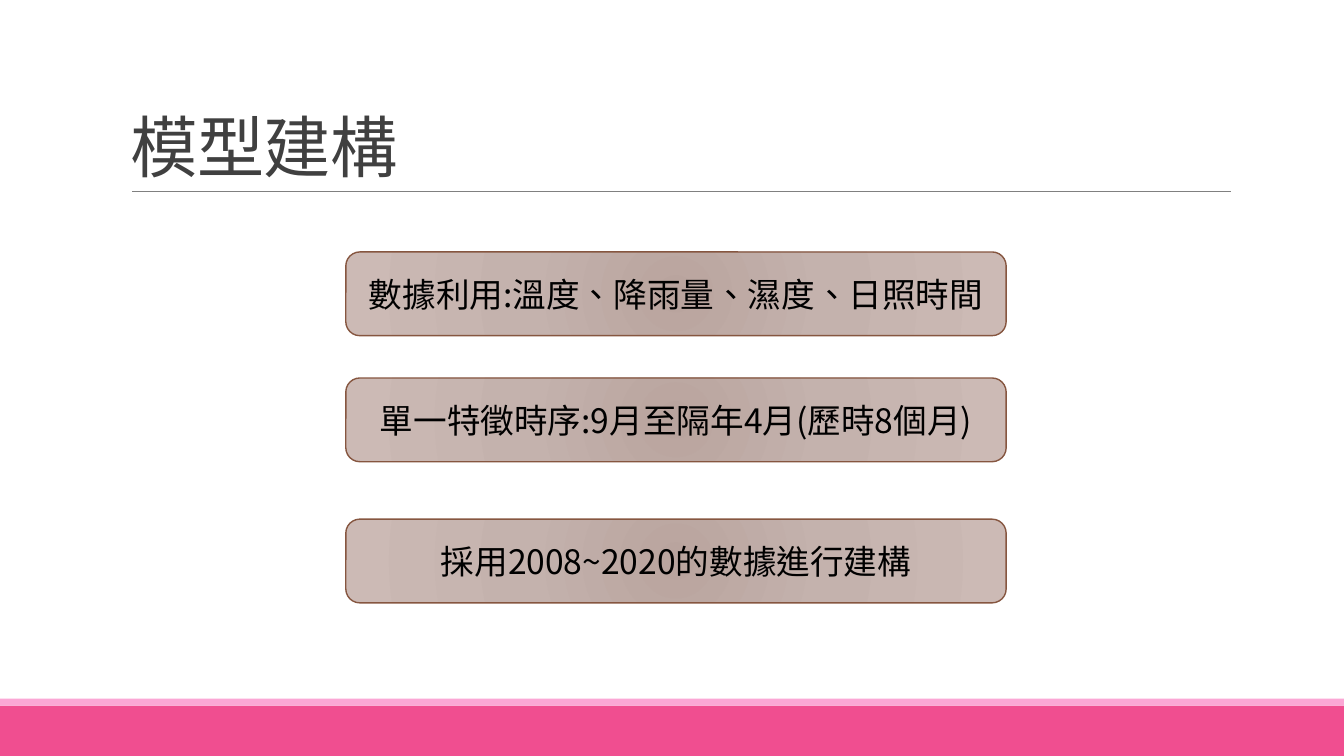
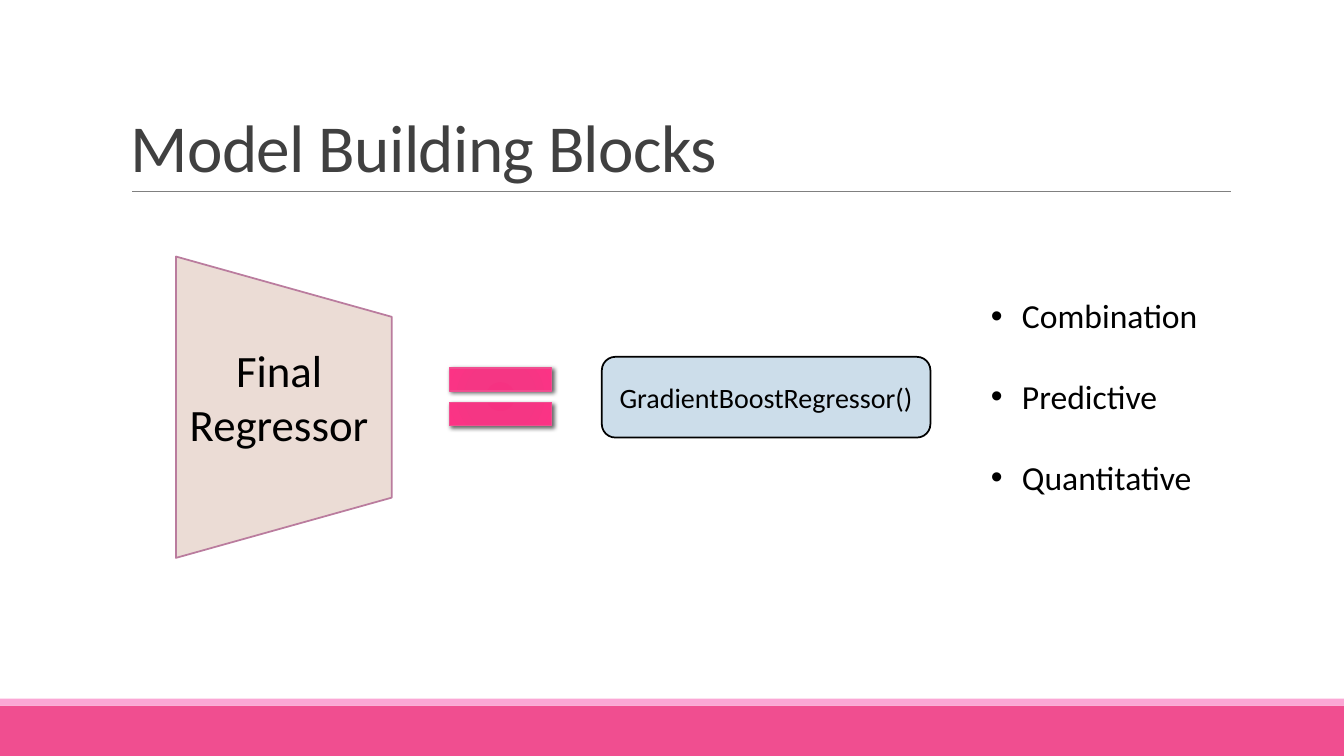
from pptx import Presentation
from pptx.dml.color import RGBColor
from pptx.enum.shapes import MSO_CONNECTOR, MSO_SHAPE as SHAPE
from pptx.enum.text import MSO_ANCHOR as ANCHOR, PP_ALIGN as ALIGN
from pptx.oxml import parse_xml
from pptx.oxml.ns import nsdecls, qn
from pptx.util import Inches, Pt

PINK = RGBColor(0xF0, 0x4E, 0x90)
LIGHT_PINK = RGBColor(0xFB, 0xA7, 0xD5)
GREY = RGBColor(0x80, 0x80, 0x80)
DARK = RGBColor(0x40, 0x40, 0x40)
BLACK = RGBColor(0x00, 0x00, 0x00)
BROWN = RGBColor(0x86, 0x56, 0x40)
SAND = RGBColor(0xEB, 0xDC, 0xD5)
MAUVE = RGBColor(0xBA, 0x7C, 0x9E)
SKY = RGBColor(0xCC, 0xDD, 0xEA)
CLAY_STOPS = ((0, RGBColor(0xB9, 0xA4, 0x9E)), (45, RGBColor(0xC4, 0xB2, 0xAD)),
              (100, RGBColor(0xCC, 0xBA, 0xB5)))
PINK_STOPS = ((0, RGBColor(0xF6, 0x32, 0x82)), (34, RGBColor(0xF5, 0x36, 0x84)),
              (70, RGBColor(0xFC, 0x33, 0x85)), (100, RGBColor(0xF8, 0x46, 0x8E)))
LATIN, CJK = "Calibri", "Noto Sans CJK SC"


class Deck:
    """Holds the style and the current slide; lengths are percent of the slide."""

    def __init__(self):
        self.prs = Presentation()
        self.prs.slide_width, self.prs.slide_height = Inches(13.33), Inches(7.5)

    def x(self, share):
        return int(self.prs.slide_width * share / 100)

    def y(self, share):
        return int(self.prs.slide_height * share / 100)

    def place(self, at):
        left, top, width, height = at
        return self.x(left), self.y(top), self.x(width), self.y(height)

    def slide(self, title, font=LATIN):
        self.s = self.prs.slides.add_slide(self.prs.slide_layouts[6])
        self.shape(SHAPE.RECTANGLE, (0, 93.33, 100, 6.67), PINK)
        self.shape(SHAPE.RECTANGLE, (0, 92.4, 100, 0.93), LIGHT_PINK)
        self.rule(9.83, 91.6, 25.33)
        tf = self.text((9, 4.13, 82.5, 21.2), title, 48, font, DARK, ALIGN.LEFT)
        tf.vertical_anchor = ANCHOR.BOTTOM
        p = tf.paragraphs[0]
        p.line_spacing = 0.85
        p.runs[0].font._element.set("spc", "-50")

    def rule(self, start, end, top):
        line = self.s.shapes.add_connector(
            MSO_CONNECTOR.STRAIGHT, self.x(start), self.y(top), self.x(end), self.y(top))
        line.line.color.rgb, line.line.width = GREY, Pt(0.5)
        line._element.spPr.append(parse_xml(f"<a:effectLst {nsdecls('a')}/>"))

    def shape(self, kind, at, fill, line=None, width=1):
        sp = self.s.shapes.add_shape(kind, *self.place(at))
        if isinstance(fill, RGBColor):
            sp.fill.solid()
            sp.fill.fore_color.rgb = fill
        else:
            self.radial(sp, fill)
        if line is None:
            sp.line.fill.background()
        else:
            sp.line.color.rgb, sp.line.width = line, Pt(width)
        sp.shadow.inherit = False
        return sp

    def radial(self, sp, stops):
        sp.fill.background()
        spPr = sp._element.spPr
        marks = "".join(f'<a:gs pos="{pos * 1000}"><a:srgbClr val="{color}"/></a:gs>'
                        for pos, color in stops)
        spPr.replace(spPr.find(qn("a:noFill")), parse_xml(
            f'<a:gradFill {nsdecls("a")} rotWithShape="1"><a:gsLst>{marks}</a:gsLst>'
            '<a:path path="circle"><a:fillToRect l="100000" t="100000" '
            'r="100000" b="100000"/></a:path></a:gradFill>'))

    def cast_shadow(self, sp):
        sp._element.spPr.find(qn("a:effectLst")).append(parse_xml(
            f'<a:outerShdw {nsdecls("a")} blurRad="{int(Pt(3))}" dist="{int(Pt(2))}" '
            'dir="2700000"><a:srgbClr val="000000"><a:alpha val="60000"/></a:srgbClr>'
            '</a:outerShdw>'))

    def set_text(self, tf, text, size, font, color, align):
        tf.word_wrap = True
        tf.text = text
        for p in tf.paragraphs:
            p.alignment = align
            for r in p.runs:
                r.font.size, r.font.name, r.font.color.rgb = Pt(size), font, color
                rPr = r.font._element
                rPr.set("lang", "zh-TW" if font == CJK else "en-US")
                rPr.append(parse_xml(f'<a:ea {nsdecls("a")} typeface="{font}"/>'))

    def text(self, at, text, size, font=LATIN, color=BLACK, align=ALIGN.CENTER):
        tf = self.s.shapes.add_textbox(*self.place(at)).text_frame
        self.set_text(tf, text, size, font, color, align)
        return tf

    def card(self, at, text, size, font, fill, line, width=1):
        sp = self.shape(SHAPE.ROUNDED_RECTANGLE, at, fill, line, width)
        sp.text_frame.vertical_anchor = ANCHOR.MIDDLE
        self.set_text(sp.text_frame, text, size, font, BLACK, ALIGN.CENTER)

    def bullets(self, at, items, size, gap):
        tf = self.text(at, "\n".join(items), size, align=ALIGN.LEFT)
        for p in tf.paragraphs:
            p.space_after = Pt(gap)
            pPr = p._p.get_or_add_pPr()
            pPr.set("marL", str(int(Inches(0.31))))
            pPr.set("indent", str(-int(Inches(0.31))))
            pPr.append(parse_xml(f'<a:buFont {nsdecls("a")} typeface="Arial"/>'))
            pPr.append(parse_xml(f'<a:buChar {nsdecls("a")} char="•"/>'))


def main():
    deck = Deck()

    deck.slide("模型建構", CJK)
    steps = ((33.33, "數據利用:溫度、降雨量、濕度、日照時間"),
             (50, "單一特徵時序:9月至隔年4月(歷時8個月)"),
             (68.67, "採用2008~2020的數據進行建構"))
    for top, step in steps:
        deck.card((25.73, top, 49.13, 11.07), step, 24, CJK, CLAY_STOPS, BROWN)

    deck.slide("Model Building Blocks")
    funnel = deck.shape(SHAPE.FLOWCHART_MANUAL_OPERATION, (9.9, 39.6, 22.43, 28.53),
                        SAND, MAUVE, 1.25)
    funnel.rotation = 270
    deck.text((12.6, 44.67, 17.1, 15.73), "Final \nRegressor ", 32)
    equal = deck.shape(SHAPE.MATH_EQUAL, (32.1, 46, 10.28, 12.93), PINK_STOPS, PINK)
    deck.cast_shadow(equal)
    deck.card((44.78, 47.2, 24.45, 10.67), "GradientBoostRegressor()", 20, LATIN,
              SKY, BLACK, 1.25)
    deck.bullets((72.98, 38.4, 22.5, 28.27),
                 ("Combination", "Predictive", "Quantitative"), 24, 29)

    deck.prs.save("out.pptx")


if __name__ == "__main__":
    main()
